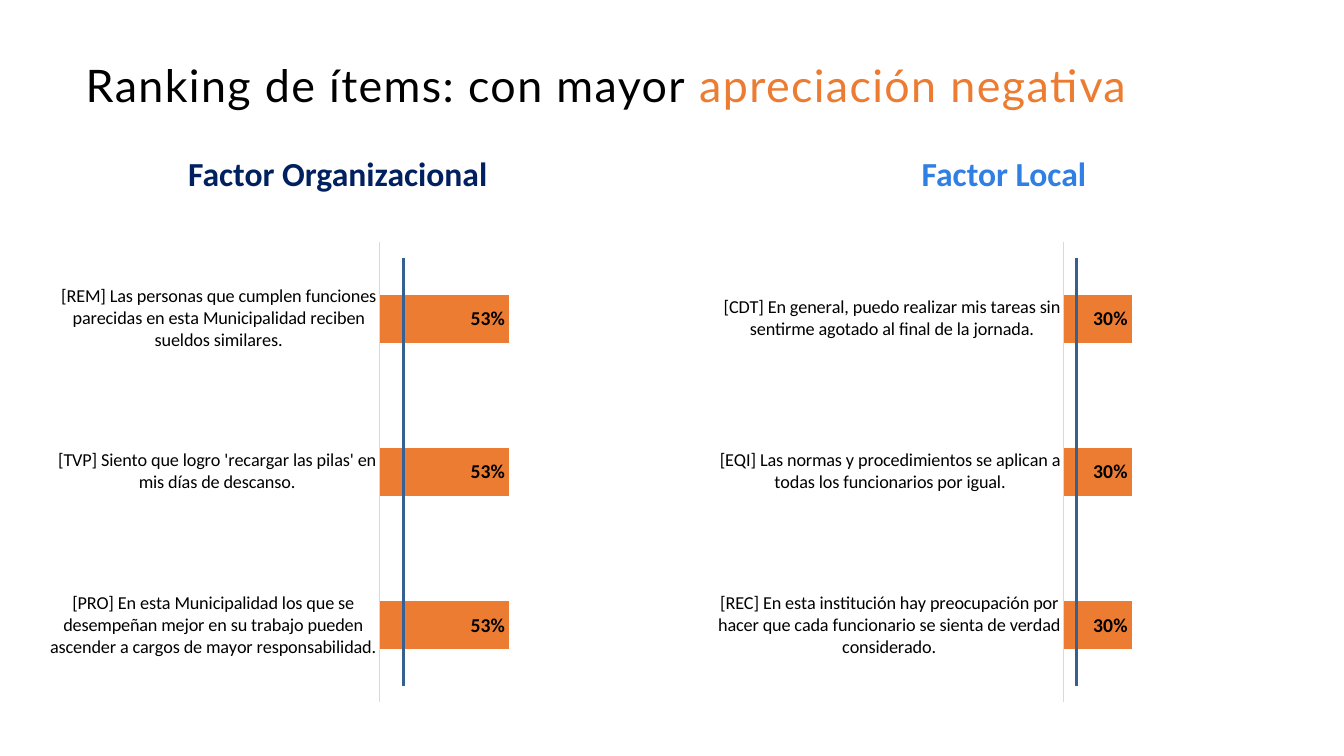
from dataclasses import dataclass

from lxml import etree
from pptx import Presentation
from pptx.chart.data import CategoryChartData
from pptx.dml.color import RGBColor
from pptx.enum.chart import XL_CHART_TYPE, XL_LABEL_POSITION, XL_TICK_MARK
from pptx.enum.shapes import MSO_CONNECTOR
from pptx.enum.text import MSO_ANCHOR, PP_ALIGN
from pptx.oxml import parse_xml
from pptx.oxml.ns import nsdecls, qn
from pptx.slide import Slide
from pptx.text.text import Font
from pptx.util import Pt

BAR_CLUSTERED = XL_CHART_TYPE.BAR_CLUSTERED
INSIDE_END = XL_LABEL_POSITION.INSIDE_END
NO_TICK = XL_TICK_MARK.NONE
STRAIGHT = MSO_CONNECTOR.STRAIGHT
MIDDLE = MSO_ANCHOR.MIDDLE
CENTER = PP_ALIGN.CENTER

ORANGE = "EC7C31"
BLACK = "000000"
CHART_TOP, CHART_WIDTH, CHART_HEIGHT = 166.3, 425.5, 342
HEADING_TOP, HEADING_WIDTH, HEADING_HEIGHT = 113.8, 362.9, 23.8
MARKER_TOP, MARKER_BOTTOM = 184.3, 490.3


@dataclass
class Factor:
    heading: str
    color: str
    heading_left: float
    chart_left: float
    marker_x: float
    plot_x: float  # plot area, as a fraction of the chart width
    plot_width: float
    value: float
    items: list[str]  # from bottom to top


FACTORS = [
    Factor("Factor Organizacional", "002060", 59.8, 28.8, 288, 0.57, 0.41, 0.53, [
        "[PRO] En esta Municipalidad los que se desempeñan mejor en su trabajo "
        "pueden ascender a cargos de mayor responsabilidad.",
        "[TVP] Siento que logro 'recargar las pilas' en mis días de descanso.",
        "[REM] Las personas que cumplen funciones parecidas en esta Municipalidad "
        "reciben sueldos similares.",
    ]),
    Factor("Factor Local", "307FE2", 535.7, 504.7, 769, 0.6, 0.38, 0.3, [
        "[REC] En esta institución hay preocupación por hacer que cada funcionario "
        "se sienta de verdad considerado.",
        "[EQI] Las normas y procedimientos se aplican a todas los funcionarios por igual.",
        "[CDT] En general, puedo realizar mis tareas sin sentirme agotado al final "
        "de la jornada.",
    ]),
]


def rgb(color: str) -> RGBColor:
    return RGBColor.from_string(color)


def format_font(font: Font, name: str, size: float, color: str, bold: bool = False) -> None:
    font.name = name
    font.size = Pt(size)
    font.bold = bold
    font.color.rgb = rgb(color)


def add_title(slide: Slide) -> None:
    shape = slide.shapes.add_textbox(Pt(61.2), Pt(24.5), Pt(848.2), Pt(76.3))
    frame = shape.text_frame
    frame.word_wrap = True
    frame.vertical_anchor = MIDDLE
    frame.margin_left = frame.margin_right = frame.margin_top = frame.margin_bottom = 0
    paragraph = frame.paragraphs[0]
    paragraph.line_spacing = 0.9
    for text, color in (("Ranking de ítems: con mayor ", BLACK),
                        ("apreciación negativa", ORANGE)):
        run = paragraph.add_run()
        run.text = text
        format_font(run.font, "Lato", 32, color)
        run._r.get_or_add_rPr().set("spc", "100")


def add_heading(slide: Slide, factor: Factor) -> None:
    shape = slide.shapes.add_textbox(
        Pt(factor.heading_left), Pt(HEADING_TOP), Pt(HEADING_WIDTH), Pt(HEADING_HEIGHT))
    frame = shape.text_frame
    frame.word_wrap = True
    frame.vertical_anchor = MIDDLE
    frame.text = factor.heading
    paragraph = frame.paragraphs[0]
    paragraph.alignment = CENTER
    paragraph.line_spacing = 0.9
    format_font(paragraph.runs[0].font, "Calibri", 24, factor.color, bold=True)


def add_bar_chart(slide: Slide, factor: Factor) -> None:
    data = CategoryChartData(number_format="0%")
    data.categories = factor.items
    data.add_series("Series 1", [factor.value] * len(factor.items))
    chart = slide.shapes.add_chart(
        BAR_CLUSTERED, Pt(factor.chart_left), Pt(CHART_TOP),
        Pt(CHART_WIDTH), Pt(CHART_HEIGHT), data).chart
    chart.has_legend = False
    chart.has_title = False
    format_font(chart.font, "Calibri", 10, "FFFFFF")

    # Axes
    category_axis = chart.category_axis
    category_axis.major_tick_mark = category_axis.minor_tick_mark = NO_TICK
    category_axis.format.line.color.rgb = rgb("D9D9D9")
    category_axis.format.line.width = Pt(0.75)
    format_font(category_axis.tick_labels.font, "Calibri", 13, BLACK)
    value_axis = chart.value_axis
    value_axis.minimum_scale = 0
    value_axis.maximum_scale = 1
    value_axis.has_major_gridlines = False
    value_axis.visible = False

    # Bars and their labels
    plot = chart.plots[0]
    plot.gap_width = 219
    plot.vary_by_categories = False
    fill = plot.series[0].format.fill
    fill.solid()
    fill.fore_color.rgb = rgb(ORANGE)
    plot.has_data_labels = True
    labels = plot.data_labels
    labels.show_value = True
    labels.position = INSIDE_END
    labels.number_format = "0%"
    labels.number_format_is_linked = False
    format_font(labels.font, "Calibri", 14, BLACK, bold=True)

    # Fixed plot area
    plot_area = chart._chartSpace.chart.plotArea
    for layout in plot_area.findall(qn("c:layout")):
        plot_area.remove(layout)
    bounds = {"x": factor.plot_x, "y": 0.02, "w": factor.plot_width, "h": 0.96}
    layout = parse_xml(
        f'<c:layout {nsdecls("c")}><c:manualLayout><c:layoutTarget val="inner"/>'
        '<c:xMode val="edge"/><c:yMode val="edge"/>'
        + "".join(f'<c:{key} val="{value}"/>' for key, value in bounds.items())
        + "</c:manualLayout></c:layout>")
    plot_area.insert(0, layout)


def add_marker(slide: Slide, factor: Factor) -> None:
    marker = slide.shapes.add_connector(
        STRAIGHT, Pt(factor.marker_x), Pt(MARKER_BOTTOM),
        Pt(factor.marker_x), Pt(MARKER_TOP))
    marker.line.color.rgb = rgb("376092")
    marker.line.width = Pt(2)
    etree.SubElement(marker._element.spPr, qn("a:effectLst"))


def main() -> None:
    presentation = Presentation()
    presentation.slide_width = Pt(960)
    presentation.slide_height = Pt(540)
    slide = presentation.slides.add_slide(presentation.slide_layouts[6])
    add_title(slide)
    for factor in FACTORS:
        add_heading(slide, factor)
        add_bar_chart(slide, factor)
        add_marker(slide, factor)
    presentation.save("out.pptx")


if __name__ == "__main__":
    main()
